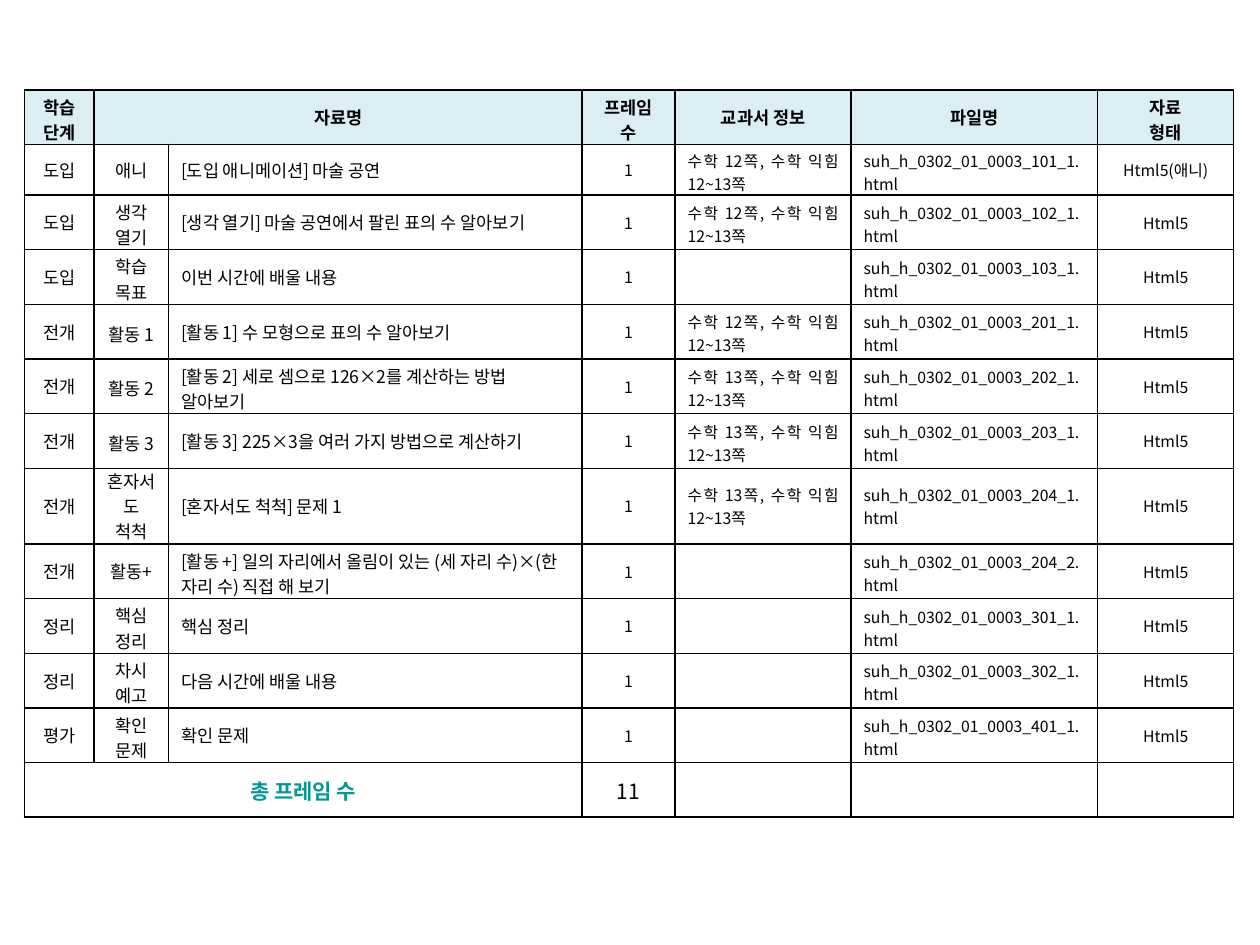
from lxml import etree
from pptx import Presentation
from pptx.dml.color import RGBColor
from pptx.enum.text import MSO_ANCHOR, PP_ALIGN
from pptx.oxml.ns import qn
from pptx.util import Pt

LEFT, CENTER, JUSTIFY = PP_ALIGN.LEFT, PP_ALIGN.CENTER, PP_ALIGN.JUSTIFY
MIDDLE = MSO_ANCHOR.MIDDLE
FONT = "Noto Sans CJK KR"
LINE_SPACING = 1.45
COLORS = {"text": "000000", "border": "000000", "header": "DBEEF4", "total": "009999"}

# Stage, activity, material, textbook page (None if not in the book), file number
LESSON_STEPS = [
    ("도입", "애니", "[도입 애니메이션] 마술 공연", 12, "101_1"),
    ("도입", "생각 열기", "[생각 열기] 마술 공연에서 팔린 표의 수 알아보기", 12, "102_1"),
    ("도입", "학습 목표", "이번 시간에 배울 내용", None, "103_1"),
    ("전개", "활동 1", "[활동 1] 수 모형으로 표의 수 알아보기", 12, "201_1"),
    ("전개", "활동 2", "[활동 2] 세로 셈으로 126×2를 계산하는 방법 알아보기", 13, "202_1"),
    ("전개", "활동 3", "[활동 3] 225×3을 여러 가지 방법으로 계산하기", 13, "203_1"),
    ("전개", "혼자서도 척척", "[혼자서도 척척] 문제 1", 13, "204_1"),
    ("전개", "활동+", "[활동 +] 일의 자리에서 올림이 있는 (세 자리 수)×(한 자리 수) 직접 해 보기",
     None, "204_2"),
    ("정리", "핵심 정리", "핵심 정리", None, "301_1"),
    ("정리", "차시 예고", "다음 시간에 배울 내용", None, "302_1"),
    ("평가", "확인 문제", "확인 문제", None, "401_1"),
]
HEADINGS = ["학습 단계", "자료명", "", "프레임 수", "교과서 정보", "파일명", "자료\n형태"]
HEADING_LINES = [2, 1, 1, 2, 1, 1, 2]
COLUMN_WIDTHS = [39.9, 42.5, 236.4, 53.1, 100.6, 140.9, 77.8]
STEP_ALIGNMENTS = [CENTER, CENTER, LEFT, CENTER, JUSTIFY, JUSTIFY, CENTER]
STEP_SIZES = [10, 10, 10, 9, 9, 9, 9]
ROW_HEIGHT, FIRST_STEP_HEIGHT, THREE_LINE_HEIGHT = 31.2, 28.8, 43.2


def write_cell(row, column, text, size, lines=1, align=CENTER, color="text", bold=False):
    """Write one cell, narrowing its vertical margins so the lines fit the row."""
    cell = table.cell(row, column)
    room = max(0, row_heights[row] - lines * size * LINE_SPACING)
    top = min(3.6, room)
    cell.margin_top = Pt(top)
    cell.margin_bottom = Pt(min(3.6, room - top))
    cell.text_frame.text = text
    for paragraph in cell.text_frame.paragraphs:
        paragraph.alignment = align
        for run in paragraph.runs:
            run.font.name = FONT
            run.font.size = Pt(size)
            run.font.bold = bold
            run.font.color.rgb = RGBColor.from_string(COLORS[color])
            east_asian = etree.Element(qn("a:ea"), typeface=FONT)
            run.font._element.find(qn("a:latin")).addnext(east_asian)


def add_borders(cell):
    properties = cell._tc.get_or_add_tcPr()
    for side in ("lnL", "lnR", "lnT", "lnB"):
        line = etree.SubElement(properties, qn(f"a:{side}"), w=str(Pt(1)))
        fill = etree.SubElement(line, qn("a:solidFill"))
        etree.SubElement(fill, qn("a:srgbClr"), val=COLORS["border"])


prs = Presentation()
prs.slide_width, prs.slide_height = Pt(720), Pt(540)
slide = prs.slides.add_slide(prs.slide_layouts[6])

row_heights = [ROW_HEIGHT] * (len(LESSON_STEPS) + 2)
row_heights[1] = FIRST_STEP_HEIGHT
row_heights[7] = THREE_LINE_HEIGHT
table = slide.shapes.add_table(
    len(row_heights), len(COLUMN_WIDTHS), Pt(13.9), Pt(51.4),
    Pt(sum(COLUMN_WIDTHS)), Pt(sum(row_heights))).table
table.first_row = table.horz_banding = False
for column, width in zip(table.columns, COLUMN_WIDTHS):
    column.width = Pt(width)
for row, height in zip(table.rows, row_heights):
    row.height = Pt(height)

for cell in table.iter_cells():
    add_borders(cell)
    cell.fill.background()
    cell.vertical_anchor = MIDDLE

total_row = len(row_heights) - 1
table.cell(0, 1).merge(table.cell(0, 2))
table.cell(total_row, 0).merge(table.cell(total_row, 2))

for column, (heading, lines) in enumerate(zip(HEADINGS, HEADING_LINES)):
    header_fill = table.cell(0, column).fill
    header_fill.solid()
    header_fill.fore_color.rgb = RGBColor.from_string(COLORS["header"])
    write_cell(0, column, heading, 10, lines, bold=True)

for row, (stage, activity, material, page, number) in enumerate(LESSON_STEPS, start=1):
    textbook = f"수학 {page}쪽, 수학 익힘 12~13쪽" if page else ""
    file_name = f"suh_h_0302_01_0003_{number}.html"
    file_type = "Html5(애니)" if activity == "애니" else "Html5"
    values = [stage, activity, material, "1", textbook, file_name, file_type]
    activity_lines = 3 if len(activity) > 5 else 2 if " " in activity else 1
    material_lines = 2 if len(material) > 30 else 1
    line_counts = [1, activity_lines, material_lines, 1, 2, 2, 1]
    for column, value in enumerate(values):
        write_cell(row, column, value, STEP_SIZES[column], line_counts[column],
                   STEP_ALIGNMENTS[column])

write_cell(total_row, 0, "총 프레임 수", 12, color="total", bold=True)
write_cell(total_row, 3, str(len(LESSON_STEPS)), 12)

prs.save("out.pptx")
